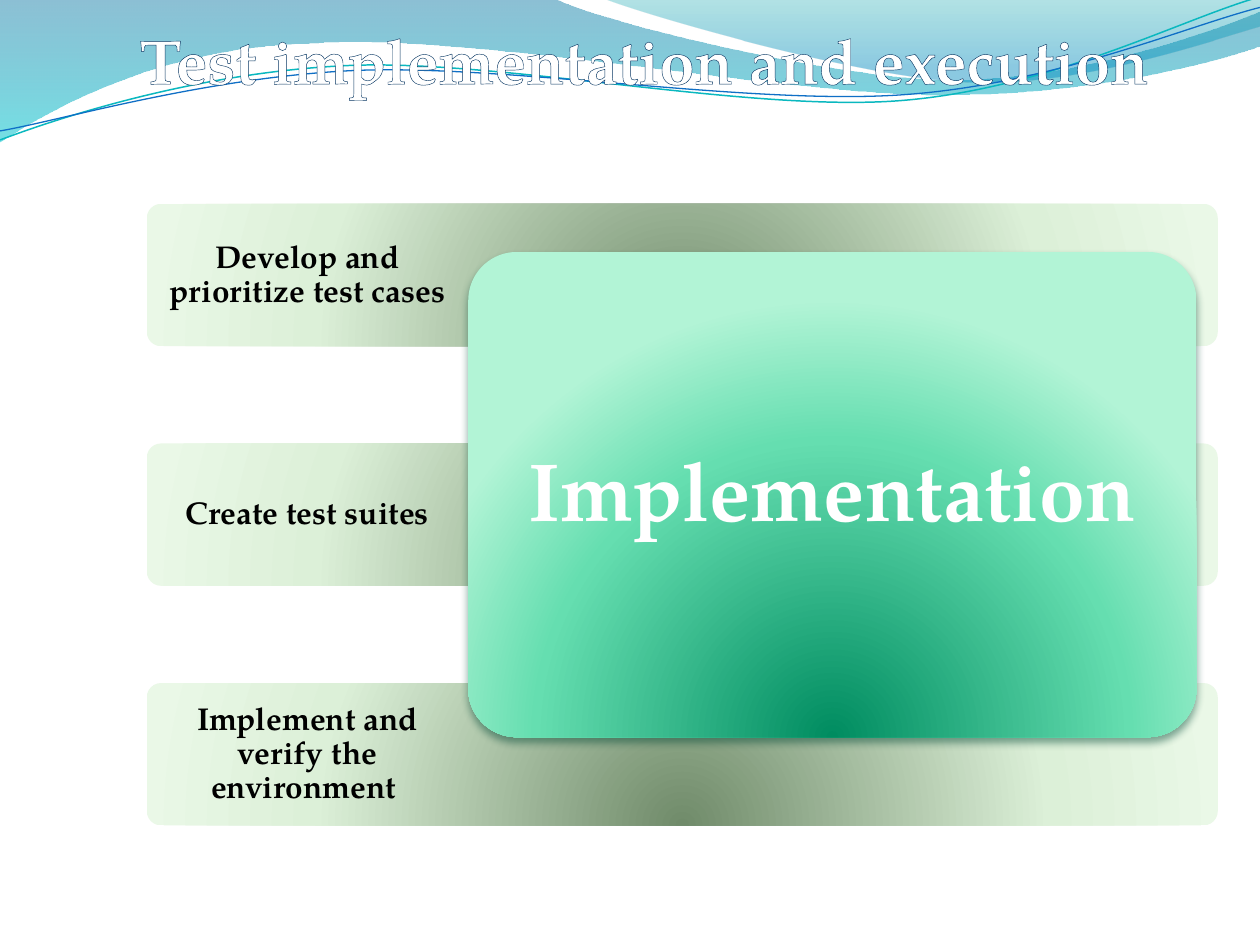
from math import cos, radians, sin
from lxml.etree import SubElement as Sub
from pptx import Presentation
from pptx.dml.color import RGBColor as Rgb
from pptx.enum.shapes import MSO_SHAPE as Kind
from pptx.enum.text import MSO_ANCHOR as Anchor, MSO_AUTO_SIZE as Auto, PP_ALIGN as Align
from pptx.oxml.ns import qn
from pptx.util import Cm, Pt

FONT = "TeX Gyre Pagella"
HUES = {
    "white": "FFFFFF", "black": "000000", "shade": "044A37",
    "teal": "0AB8BF", "blue": "0F6FC6",
}
# Gradient stops: position, colour, opacity (all in percent)
FADES = {
    "left": [(0, "0074A1", 45), (100, "00C6CF", 55)],
    "right": [(0, "00A1A9", 30), (80, "008BBF", 45)],
    "bar": [(0, "708B6A", 100), (68, "DCF0D8", 100), (100, "EAF8E7", 100)],
    "card": [(0, "008C60", 100), (68, "65DEB0", 100), (100, "B2F4D6", 100)],
    "edge": [(25, "083763", 100), (80, "6A98F8", 100)],
}
# Outlines in cm: a pair is a straight step, six numbers are a curve
WAVES = {
    "left": [(0, 0), (11.18, -0.03), (12.09, 0.43, 16.87, 1.6, 19.25, 1.6),
             (21.67, 1.6, 24.33, 0.66, 25.4, 0.23), (25.43, 0.91),
             (24.97, 1.12, 22.1, 1.93, 18.95, 1.91),
             (15.8, 1.91, 9.7, 0.71, 6.53, 0.86),
             (3.28, 0.91, 1.17, 2.11, -0.03, 2.87), (0, 0)],
    "right": [(12.17, -0.03), (12.93, 0.28, 17.32, 1.57, 19.53, 1.65),
              (21.74, 1.75, 24.41, 0.81, 25.4, 0.53), (25.4, 0), (12.17, -0.03)],
}
TILT = 2.7
# Colour, width, centre of the turn, outline
LINES = [
    ("teal", 0.85, (12.67, 1.46),
     [(0, 2.82), (1.22, 2.36, 4.01, 1.45, 7.04, 1.32),
      (10.03, 1.19, 15.06, 2.26, 18.11, 2.03),
      (21.16, 1.8, 23.83, 0.38, 25.35, -0.05)]),
    ("blue", 0.75, (12.69, 1.5),
     [(0, 2.64), (1.19, 2.44, 4.17, 1.55, 7.19, 1.42),
      (10.24, 1.3, 15.16, 2.13, 18.21, 1.91),
      (21.23, 1.7, 23.9, 0.53, 25.4, 0.15)]),
]
STEPS = ["Develop and prioritize test cases", "Create test suites",
         "Implement and verify the environment "]


def add_hue(node, hue, alpha=100):
    clr = Sub(node, qn("a:srgbClr"), val=hue)
    if alpha < 100:
        Sub(clr, qn("a:alpha"), val=str(alpha * 1000))


def add_stops(grad, stops):
    stop_list = Sub(grad, qn("a:gsLst"))
    for pos, hue, alpha in stops:
        add_hue(Sub(stop_list, qn("a:gs"), pos=str(pos * 1000)), hue, alpha)


def fade(shape, stops, glow=False):
    """Fill with a gradient, downward or round from below the shape."""
    shape.fill.gradient()
    grad = shape.element.spPr.find(qn("a:gradFill"))
    for node in list(grad):
        grad.remove(node)
    add_stops(grad, stops)
    if glow:
        way = Sub(grad, qn("a:path"), path="circle")
        Sub(way, qn("a:fillToRect"), l="50000", t="130000", r="50000", b="-30000")
    else:
        Sub(grad, qn("a:lin"), ang="5400000", scaled="0")


def pairs(step):
    return list(zip(step[::2], step[1::2]))


def turn(points, mid):
    """Turn an outline clockwise about its centre."""
    c, s = cos(radians(TILT)), sin(radians(TILT))
    turned = []
    for step in points:
        moved = []
        for x, y in pairs(step):
            dx, dy = x - mid[0], y - mid[1]
            moved += [mid[0] + dx * c - dy * s, mid[1] + dx * s + dy * c]
        turned.append(tuple(moved))
    return turned


def add_wave(slide, points, close):
    ends = [(Cm(step[-2]), Cm(step[-1])) for step in points]
    pen = slide.shapes.build_freeform(*ends[0])
    pen.add_line_segments(ends[1:], close=close)
    wave = pen.convert_to_shape()
    wave.shadow.inherit = False
    # Bend the straight steps into curves
    track = next(wave.element.iter(qn("a:path")))
    for node, step in zip(list(track)[1:], points[1:]):
        if len(step) == 6:
            curve = Sub(track, qn("a:cubicBezTo"))
            for x, y in pairs(step):
                Sub(curve, qn("a:pt"), x=str(Cm(x) - wave.left), y=str(Cm(y) - wave.top))
            track.replace(node, curve)
    return wave


def add_panel(slide, box, stops):
    panel = slide.shapes.add_shape(Kind.ROUNDED_RECTANGLE, *map(Cm, box))
    panel.adjustments[0] = 0.1
    panel.line.fill.background()
    panel.shadow.inherit = False
    fade(panel, stops, glow=True)
    return panel


def add_shade(shape):
    effects = shape.element.spPr.find(qn("a:effectLst"))
    drop = Sub(effects, qn("a:outerShdw"), blurRad=str(Pt(4.5)), dist=str(Pt(3)),
               dir="5400000", rotWithShape="0")
    add_hue(drop, HUES["shade"], 48)


def add_run(par, text, size, hue):
    run = par.add_run()
    run.text = text
    run.font.name, run.font.size, run.font.bold = FONT, Pt(size), True
    run.font.color.rgb = Rgb.from_string(HUES[hue])
    return run


def add_label(slide, box, text, size, hue, inset):
    frame = slide.shapes.add_textbox(*map(Cm, box)).text_frame
    frame.word_wrap = True
    frame.vertical_anchor = Anchor.MIDDLE
    frame.margin_left = frame.margin_right = Cm(inset)
    frame.margin_top = frame.margin_bottom = Cm(inset)
    par = frame.paragraphs[0]
    par.alignment, par.line_spacing = Align.CENTER, 0.9
    add_run(par, text, size, hue)


def set_title(slide, text):
    title = slide.shapes.title
    title.left, title.top, title.width, title.height = map(Cm, (2.56, 0.3, 22.6, 1.8))
    frame = title.text_frame
    frame.word_wrap, frame.auto_size = True, Auto.NONE
    frame.vertical_anchor = Anchor.TOP
    par = frame.paragraphs[0]
    par.alignment = Align.LEFT
    run = add_run(par, text, 36, "white")
    # Outlined letters
    props = next(par.runs[0].font.fill._xPr.iter(qn("a:rPr")))
    edge = Sub(props, qn("a:ln"), w=str(Pt(2.48)))
    grad = Sub(edge, qn("a:gradFill"))
    add_stops(grad, FADES["edge"])
    Sub(grad, qn("a:lin"), ang="5400000", scaled="0")
    props.insert(0, edge)
    # Bring the title in front of the waves
    title.element.getparent().append(title.element)


def main():
    deck = Presentation()
    deck.slide_width, deck.slide_height = Cm(25.4), Cm(19.05)
    slide = deck.slides.add_slide(deck.slide_layouts[5])

    # Waves along the top
    for name, points in WAVES.items():
        wave = add_wave(slide, points, close=True)
        wave.line.fill.background()
        fade(wave, FADES[name])
    for hue, width, mid, points in LINES:
        wave = add_wave(slide, turn(points, mid), close=False)
        wave.rotation = 360 - TILT
        wave.fill.background()
        wave.line.color.rgb = Rgb.from_string(HUES[hue])
        wave.line.width = Pt(width)

    set_title(slide, "Test implementation and execution")

    # Bars with one step each
    for i, text in enumerate(STEPS):
        top = 4.11 + i * 4.83
        add_panel(slide, (2.96, top, 21.59, 2.87), FADES["bar"])
        add_label(slide, (2.96, top, 6.48, 2.87), text, 18, "black", 0.36)

    # Card over the bars
    card = add_panel(slide, (9.44, 5.08, 14.68, 9.78), FADES["card"])
    add_shade(card)
    add_label(slide, (9.73, 5.36, 14.1, 9.22), "Implementation", 47, "white", 0.51)

    deck.save("out.pptx")


if __name__ == "__main__":
    main()
